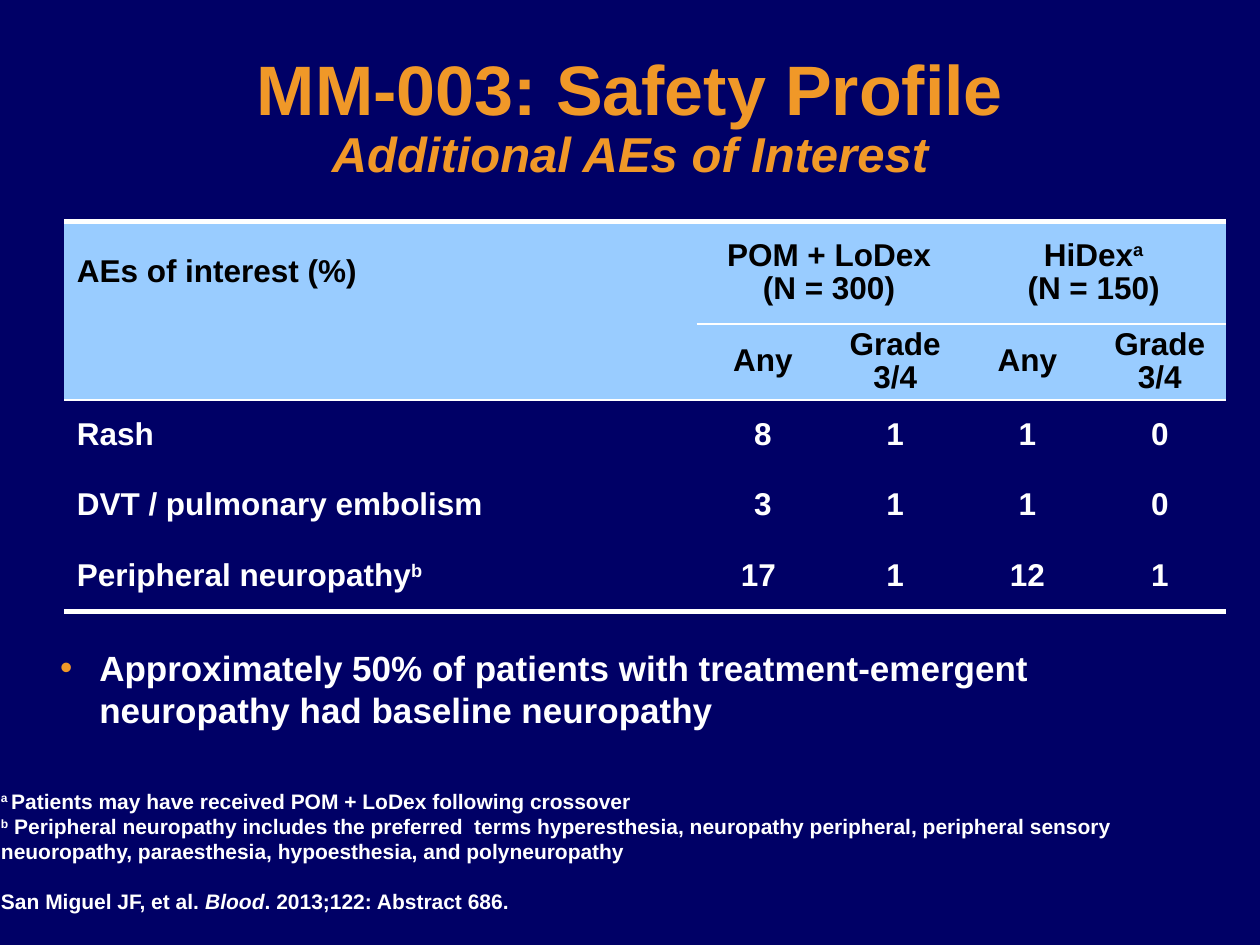
from lxml.etree import SubElement
from pptx import Presentation
from pptx.dml.color import RGBColor
from pptx.enum.text import MSO_ANCHOR, PP_ALIGN
from pptx.oxml import parse_xml
from pptx.oxml.ns import nsdecls, qn
from pptx.util import Inches, Pt

THEME = {
    "font": "Arial",
    "background": "000066", "accent": "F09828", "header": "99CCFF",
    "light": "FFFFFF", "dark": "000000",
    "title": 40, "subtitle": 28, "bullet": 20, "table": 18, "footnote": 12,
}

# Content: a text is a list of (words, style) runs
TITLE, SUBTITLE = "MM-003: Safety Profile", "Additional AEs of Interest"
HEADER = [
    (0, 0, [[("AEs of interest (%)", "")]]),
    (0, 1, [[("POM + LoDex (N = 300)", "")]]),
    (0, 3, [[("HiDex", ""), ("a", "super")], [("(N = 150)", "")]]),
] + [(1, 1 + i, [[(label, "")]]) for i, label in enumerate(["Any", "Grade 3/4"] * 2)]
EVENTS = [
    ([("Rash", "")], "8", "1", "1", "0"),
    ([("DVT / pulmonary embolism", "")], "3", "1", "1", "0"),
    ([("Peripheral neuropathy", ""), ("b", "super")], "17 ", "1", "12", "1"),
]
BULLET = [("Approximately 50% of patients with treatment-emergent "
           "neuropathy had baseline neuropathy", "")]
FOOTNOTES = [
    [("a ", "super"), ("Patients may have received POM + LoDex following crossover", "")],
    [("b", "super"),
     (" Peripheral neuropathy includes the preferred  terms hyperesthesia, neuropathy "
      "peripheral, peripheral sensory neuoropathy, paraesthesia, hypoesthesia, and "
      "polyneuropathy", "")],
    [("San Miguel JF, et al. ", ""), ("Blood", "italic"),
     (". 2013;122: Abstract 686.", "")],
]
COLUMN_WIDTHS = [5.02] + [1.05] * 4
ROW_HEIGHTS = [0.81] + [0.56] * 4
HEADER_ROWS = 2


def color(name):
    return RGBColor.from_string(THEME[name])


def set_font(font, size, color_name):
    font.name = THEME["font"]
    font.size = Pt(THEME[size])
    font.bold = True
    font.color.rgb = color(color_name)


def write(frame, paragraphs, size, color_name, align=PP_ALIGN.LEFT, spacing=None):
    for index, runs in enumerate(paragraphs):
        paragraph = frame.paragraphs[0] if index == 0 else frame.add_paragraph()
        paragraph.alignment = align
        paragraph.line_spacing = spacing
        set_font(paragraph.font, size, color_name)
        for words, style in runs:
            run = paragraph.add_run()
            run.text = words
            if style == "italic":
                run.font.italic = True
            elif style == "super":
                run._r.get_or_add_rPr().set("baseline", "30000")


def add_text_box(slide, left, top, width, height, anchor):
    box = slide.shapes.add_textbox(*map(Inches, (left, top, width, height)))
    box.text_frame.word_wrap = True
    box.text_frame.vertical_anchor = anchor
    return box.text_frame


def add_bullet(paragraph):
    properties = paragraph._p.get_or_add_pPr()
    properties.set("marL", str(Inches(0.31)))
    properties.set("indent", str(-Inches(0.31)))
    bullet_color = SubElement(properties, qn("a:buClr"))
    SubElement(bullet_color, qn("a:srgbClr")).set("val", THEME["accent"])
    SubElement(properties, qn("a:buFont")).set("typeface", THEME["font"])
    SubElement(properties, qn("a:buChar")).set("char", "•")


def add_text_shadow(run):
    shadow = parse_xml(
        f'<a:effectLst {nsdecls("a")}><a:outerShdw blurRad="38100" dist="38100" '
        'dir="2700000"><a:srgbClr val="000000"/></a:outerShdw></a:effectLst>')
    run._r.get_or_add_rPr().find(qn("a:solidFill")).addnext(shadow)


def set_borders(cell, top, bottom):
    properties = cell._tc.get_or_add_tcPr()
    sides = {"lnL": 0, "lnR": 0, "lnT": top, "lnB": bottom}
    for position, (side, width) in enumerate(sides.items()):
        line = parse_xml(f'<a:{side} {nsdecls("a")}/>')
        if width:
            line.set("w", str(Pt(width)))
            fill = SubElement(line, qn("a:solidFill"))
            SubElement(fill, qn("a:srgbClr")).set("val", THEME["light"])
        else:
            SubElement(line, qn("a:noFill"))
        properties.insert(position, line)


def add_title(slide):
    title = slide.shapes.title
    title.left, title.top, title.width, title.height = map(Inches, (0.5, 0.39, 9, 1.11))
    title.text_frame.vertical_anchor = MSO_ANCHOR.MIDDLE
    paragraph = title.text_frame.paragraphs[0]
    paragraph.alignment = PP_ALIGN.CENTER
    paragraph.line_spacing = 0.9
    for words, size in ((TITLE, "title"), (SUBTITLE, "subtitle")):
        if size == "subtitle":
            paragraph.add_line_break()
        run = paragraph.add_run()
        run.text = words
        set_font(run.font, size, "accent")
        run.font.italic = size == "subtitle"
        add_text_shadow(run)


def add_events_table(slide):
    row_count, column_count = len(ROW_HEIGHTS), len(COLUMN_WIDTHS)
    table = slide.shapes.add_table(
        row_count, column_count, Inches(0.51), Inches(1.76),
        Inches(sum(COLUMN_WIDTHS)), Inches(sum(ROW_HEIGHTS))).table
    for column, width in zip(table.columns, COLUMN_WIDTHS):
        column.width = Inches(width)
    for row, height in zip(table.rows, ROW_HEIGHTS):
        row.height = Inches(height)

    # Fills and rules
    for r in range(row_count):
        for c in range(column_count):
            cell = table.cell(r, c)
            cell.vertical_anchor = MSO_ANCHOR.MIDDLE
            cell.margin_top = cell.margin_bottom = Inches(0.04)
            if r < HEADER_ROWS:
                cell.fill.solid()
                cell.fill.fore_color.rgb = color("header")
            else:
                cell.fill.background()
            group_rule = 1 if c else 0
            top = {0: 3, 1: group_rule, HEADER_ROWS: 1}.get(r, 0)
            bottom = {0: group_rule, 1: 1, row_count - 1: 3}.get(r, 0)
            set_borders(cell, top, bottom)
    for c in (1, 3):
        table.cell(0, c).merge(table.cell(0, c + 1))

    # Cell text
    entries = [(*entry, "dark") for entry in HEADER]
    for r, (event, *values) in enumerate(EVENTS, HEADER_ROWS):
        entries.append((r, 0, [event], "light"))
        entries += [(r, c, [[(value, "")]], "light") for c, value in enumerate(values, 1)]
    for r, c, paragraphs, color_name in entries:
        align = PP_ALIGN.CENTER if c else PP_ALIGN.LEFT
        write(table.cell(r, c).text_frame, paragraphs, "table", color_name, align, 0.94)


def main():
    presentation = Presentation()
    presentation.slide_width, presentation.slide_height = Inches(10), Inches(7.5)
    slide = presentation.slides.add_slide(presentation.slide_layouts[5])
    slide.background.fill.solid()
    slide.background.fill.fore_color.rgb = color("background")

    add_title(slide)
    add_events_table(slide)

    # Key message
    message = add_text_box(slide, 0.38, 5.08, 9.4, 1.28, MSO_ANCHOR.TOP)
    add_bullet(message.paragraphs[0])
    write(message, [BULLET], "bullet", "light")

    # Footnotes, with the citation set apart
    notes = add_text_box(slide, -0.09, 6.27, 10, 1.03, MSO_ANCHOR.BOTTOM)
    write(notes, FOOTNOTES, "footnote", "light")
    notes.paragraphs[-1].space_before = Pt(14)

    presentation.save("out.pptx")


if __name__ == "__main__":
    main()
